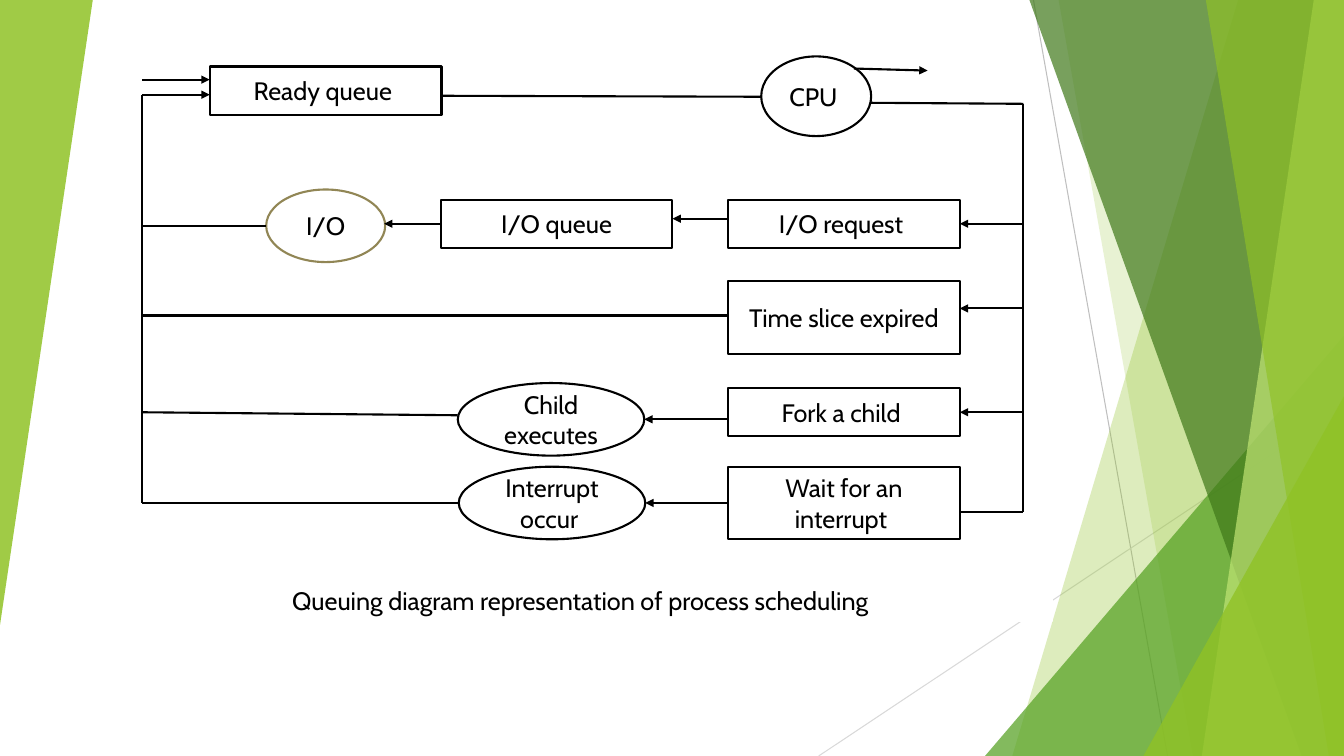
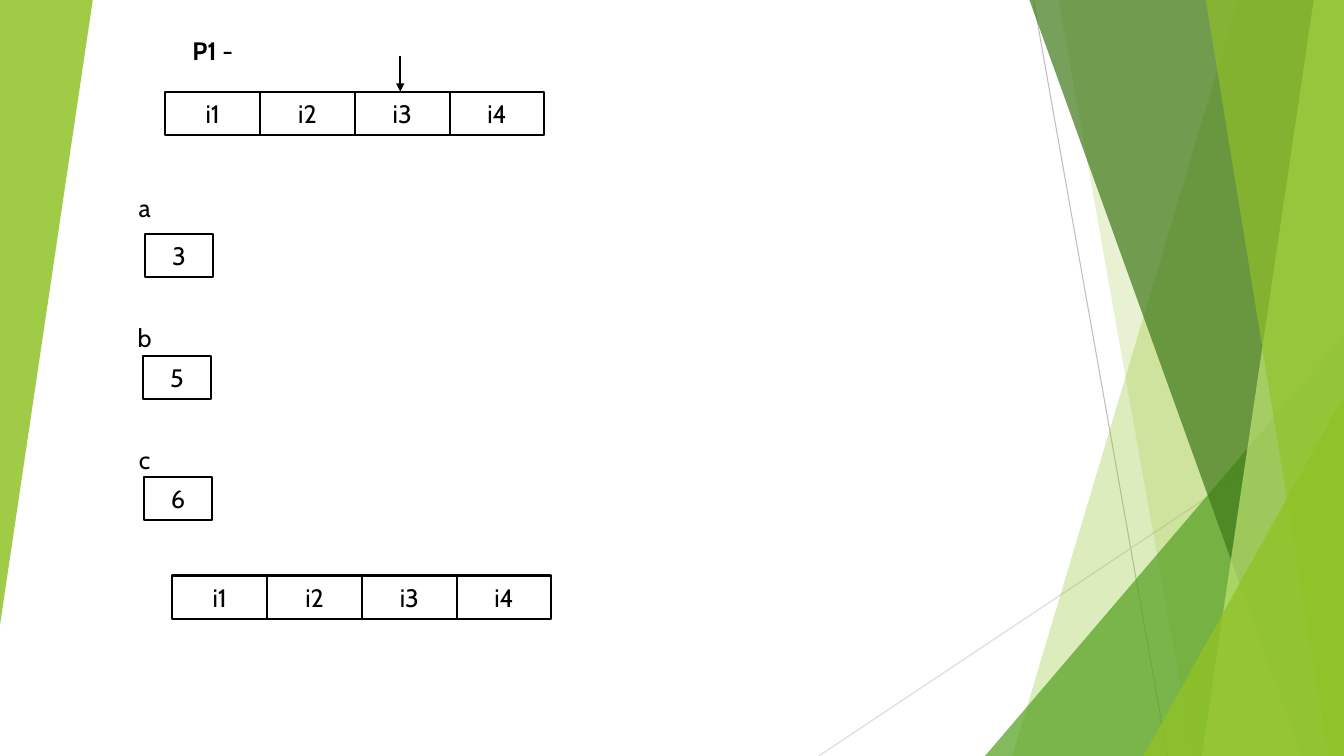
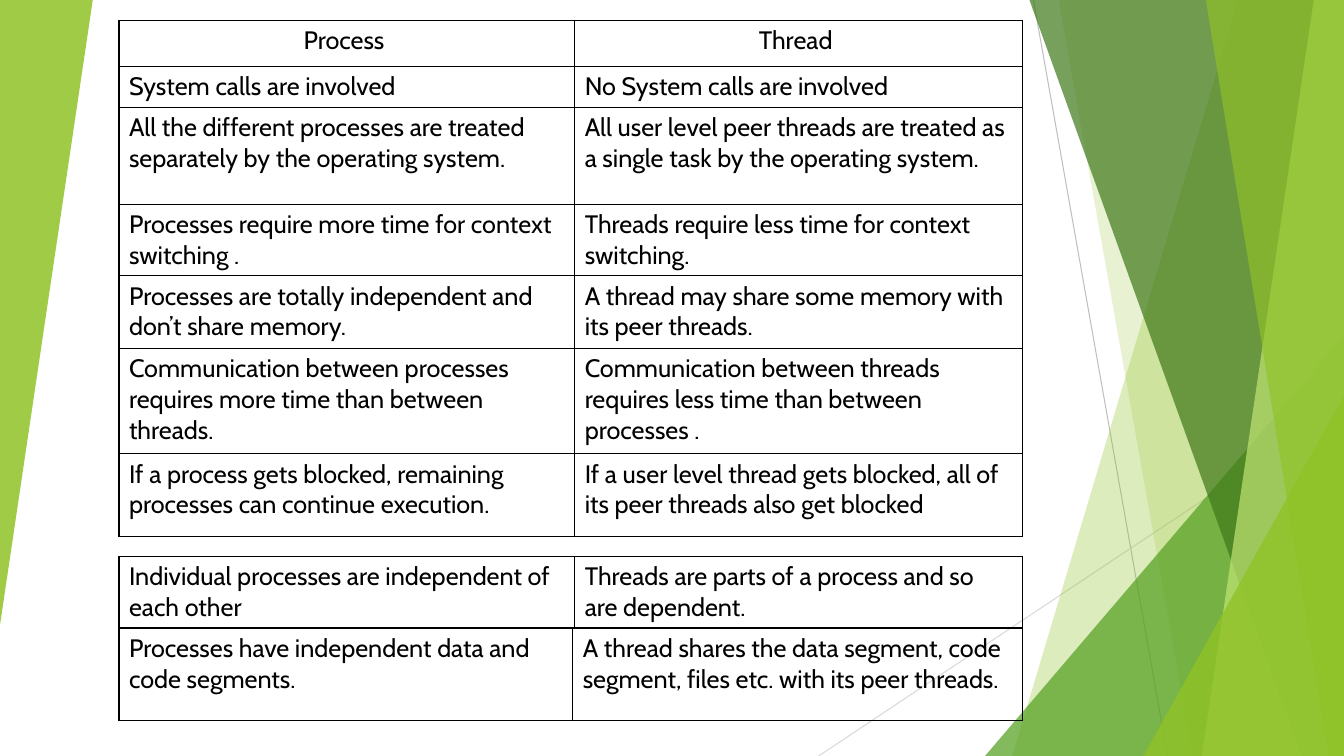
from lxml.etree import SubElement
from pptx import Presentation
from pptx.dml.color import RGBColor
from pptx.enum.shapes import MSO_CONNECTOR, MSO_SHAPE
from pptx.enum.text import MSO_ANCHOR, PP_ALIGN
from pptx.oxml.ns import qn
from pptx.util import Inches, Pt

BLACK = RGBColor(0x00, 0x00, 0x00)
WHITE = RGBColor(0xFF, 0xFF, 0xFF)
KHAKI = RGBColor(0x91, 0x86, 0x55)
GREY = RGBColor(0xBF, 0xBF, 0xBF)
PALE_GREY = RGBColor(0xD9, 0xD9, 0xD9)
LIME = RGBColor(0x90, 0xC2, 0x26)
PALE_LIME = RGBColor(0xC0, 0xE4, 0x74)
GREEN = RGBColor(0x54, 0xA0, 0x21)
DARK_GREEN = RGBColor(0x3F, 0x78, 0x19)

COLUMNS, ROWS = 13.33, 7.5  # one grid cell is one inch square
FONT = {"name": "Cabin", "size": Pt(18)}
RECT, OVAL = MSO_SHAPE.RECTANGLE, MSO_SHAPE.OVAL


def grid(*cells):
    return [Inches(cell) for cell in cells]


class Deck:
    """Holds the style, the presentation and the shapes being drawn on."""

    def __init__(self):
        self.file = Presentation()
        self.file.slide_width, self.file.slide_height = grid(COLUMNS, ROWS)
        self.shapes = None

    def page(self):
        slide = self.file.slides.add_slide(self.file.slide_layouts[6])
        self.shapes = slide.shapes

    def to_master(self, draw):
        """Draw in a group on the current slide, then move it to the master."""
        slide_shapes = self.shapes
        group = slide_shapes.add_group_shape()
        self.shapes = group.shapes
        draw(self)
        for number, node in enumerate(group.element.iter(qn("p:cNvPr")), 100):
            node.set("id", str(number))
        self.file.slide_master.shapes.element.append(group.element)
        self.shapes = slide_shapes

    def set_text(self, frame, spans, align):
        """Fill one paragraph; spans are (text, bold) pairs or one string."""
        if isinstance(spans, str):
            spans = [(spans, False)]
        para = frame.paragraphs[0]
        para.alignment = align
        for text, bold in spans:
            span = para.add_run()
            span.text = text
            for name, value in {**FONT, "bold": bold}.items():
                setattr(span.font, name, value)
            span.font.color.rgb = BLACK

    def box(self, spans, left, top, width, height, kind=RECT, outline=BLACK):
        box = self.shapes.add_shape(kind, *grid(left, top, width, height))
        box.shadow.inherit = False
        box.fill.solid()
        box.fill.fore_color.rgb = WHITE
        box.line.color.rgb = outline
        box.line.width = Pt(1.5)
        box.text_frame.word_wrap = True
        box.text_frame.vertical_anchor = MSO_ANCHOR.MIDDLE
        self.set_text(box.text_frame, spans, PP_ALIGN.CENTER)

    def label(self, spans, *place):
        self.box(spans, *place, outline=WHITE)

    def line(self, *ends, color=BLACK, width=1.5, arrow=False):
        line = self.shapes.add_connector(MSO_CONNECTOR.STRAIGHT, *grid(*ends))
        line.line.color.rgb = color
        line.line.width = Pt(width)
        properties = line.element.spPr
        if arrow:
            SubElement(properties.find(qn("a:ln")), qn("a:tailEnd"), type="triangle")
        SubElement(properties, qn("a:effectLst"))

    def tint(self, shape, color, opacity):
        """Fill without outline; opacity is in percent."""
        shape.shadow.inherit = False
        shape.line.fill.background()
        shape.fill.solid()
        shape.fill.fore_color.rgb = color
        solid = shape.element.spPr.find(qn("a:solidFill"))
        SubElement(solid[0], qn("a:alpha"), val=str(opacity * 1000))

    def facet(self, top_x, bottom_x, color, opacity):
        """Full-height panel from a slanted left edge to the slide's right edge."""
        outline = self.shapes.build_freeform(*grid(top_x, 0))
        corners = [(COLUMNS, 0), (COLUMNS, ROWS), (bottom_x, ROWS)]
        outline.add_line_segments([grid(*corner) for corner in corners])
        self.tint(outline.convert_to_shape(), color, opacity)

    def wedge(self, left, top, width, height, color, opacity, turn=0):
        wedge = self.shapes.add_shape(MSO_SHAPE.ISOSCELES_TRIANGLE,
                                      *grid(left, top, width, height))
        wedge.adjustments[0] = 1
        wedge.rotation = turn
        self.tint(wedge, color, opacity)

    def table(self, top, widths, heights, rows, header=False):
        frame = self.shapes.add_table(len(rows), len(widths),
                                      *grid(1.18, top, sum(widths), sum(heights)))
        table = frame.table
        table.first_row = table.horz_banding = False
        for column, width in zip(table.columns, widths):
            column.width = Inches(width)
        for row, height in zip(table.rows, heights):
            row.height = Inches(height)
        texts = [text for row in rows for text in row]
        nodes = frame.element.iter(qn("a:tc"))
        for index, (cell, node, text) in enumerate(zip(table.iter_cells(), nodes, texts)):
            for side in ("lnL", "lnR", "lnT", "lnB"):
                edge = SubElement(node.get_or_add_tcPr(), qn(f"a:{side}"), w=str(Pt(1)))
                solid = SubElement(edge, qn("a:solidFill"))
                SubElement(solid, qn("a:srgbClr"), val=str(BLACK))
            cell.fill.background()
            in_header = header and index < len(widths)
            self.set_text(cell.text_frame, text,
                          PP_ALIGN.CENTER if in_header else PP_ALIGN.LEFT)


def draw_backdrop(deck):
    deck.line(10.25, 0, 11.58, ROWS, color=GREY, width=0.75)
    deck.line(COLUMNS, 4.03, 8.12, ROWS, color=PALE_GREY, width=0.75)
    deck.facet(12.28, 10.04, LIME, 30)
    deck.facet(10.5, 11.83, LIME, 20)
    deck.wedge(9.77, 3.33, 3.56, 4.17, GREEN, 72)
    deck.facet(10.21, 12.91, DARK_GREEN, 70)
    deck.facet(13.03, 11.92, PALE_LIME, 70)
    deck.facet(11.96, 13.18, LIME, 65)
    deck.wedge(11.34, 3.93, 1.99, 3.57, LIME, 80)
    deck.wedge(0, 0, 0.92, 6.2, LIME, 85, turn=180)


def queuing_diagram(deck):
    left_rail, right_rail = 1.41, 10.15
    event_left, event_width = 7.22, 2.3
    event_right = event_left + event_width
    low, high = 0.48, 0.72

    deck.box("Ready queue ", 2.08, 0.66, event_width, low)
    deck.box("CPU ", 7.55, 0.56, 1.09, 0.79, OVAL)
    deck.box("I/O queue", 4.37, 1.98, event_width, low)
    for text, top, height in [("I/O request ", 1.98, low),
                              ("Time slice expired", 2.79, high),
                              ("Fork a child ", 3.85, low),
                              ("Wait for an interrupt ", 4.63, high)]:
        deck.box(text, event_left, top, event_width, height)
    deck.box("I/O", 2.64, 1.88, 1.18, high, OVAL, KHAKI)
    deck.box("Child executes", 4.54, 3.8, 1.85, high, OVAL)
    deck.box("Interrupt occur ", 4.55, 4.63, 1.85, high, OVAL)

    for ends in [(left_rail, 0.94, left_rail, 4.99),
                 (right_rail, 1.03, right_rail, 5.08),
                 (4.37, 0.95, 7.55, 0.96),
                 (8.63, 1.02, right_rail, 1.03),
                 (event_right, 5.08, right_rail, 5.08),
                 (left_rail, 2.24, 2.64, 2.24),
                 (left_rail, 3.13, event_left, 3.13),
                 (left_rail, 4.09, 4.54, 4.12),
                 (left_rail, 4.99, 4.55, 4.99)]:
        deck.line(*ends)
    arrows = [(left_rail, y, 2.08, y) for y in (0.79, 0.94)]
    arrows += [(right_rail, y, event_right, y) for y in (2.22, 3.06, 4.09)]
    arrows += [(event_left, y, end, y)
               for end, y in ((6.67, 2.17), (6.39, 4.16), (6.4, 4.99))]
    arrows += [(4.37, 2.22, 3.81, 2.22), (8.47, 0.68, 9.2, 0.7)]
    for ends in arrows:
        deck.line(*ends, arrow=True)
    deck.label("Queuing diagram representation of process scheduling",
               1.08, 5.75, 9.35, 0.41)


def instruction_state(deck):
    cell_width, cell_height = 0.94, 0.43
    deck.label([("P1", True), (" -", False)], 1.43, 0.34, 1.36, 0.33)
    for left, top in [(1.64, 0.91), (1.71, 5.71)]:
        for index in range(4):
            deck.box(f"i{index + 1}", left + index * cell_width, top,
                     cell_width, cell_height)
    deck.line(3.97, 0.56, 3.97, 0.91, arrow=True)
    for name, value, label_top, left, top in [("a", "3", 1.89, 1.44, 2.32),
                                              ("b", "5", 3.18, 1.42, 3.53),
                                              ("c", "6", 4.39, 1.43, 4.73)]:
        deck.label(name, 1.1, label_top, 0.67, 0.33)
        deck.box(value, left, top, 0.67, cell_height)


def process_and_thread(deck):
    widths = [4.52, 4.44]
    deck.table(0.2, widths, [0.46, 0.4, 0.96, 0.7, 0.72, 1.04], [
        ("Process ", "Thread "),
        ("System calls are involved", "No System calls are involved"),
        ("All the different processes are treated separately by the operating system.",
         "All user level peer threads are treated as a single task by the operating system."),
        ("Processes require more time for context switching .",
         "Threads require less time for context switching."),
        ("Processes are totally independent and don’t share memory.",
         "A thread may share some memory with its peer threads."),
        ("Communication between processes requires more time than between threads.",
         "Communication between threads requires less time than between processes ."),
    ], header=True)
    deck.table(4.5, widths, [0.82], [
        ("If a process gets blocked, remaining processes can continue execution.",
         "If a user level thread gets blocked, all of its peer threads also get blocked")])
    deck.table(5.52, widths, [0.7], [
        ("Individual processes are independent of each other",
         "Threads are parts of a process and so are dependent.")])
    deck.table(6.23, [4.5, 4.46], [0.92], [
        ("Processes have independent data and code segments.",
         "A thread shares the data segment, code segment, files etc. with its peer threads.")])


def main():
    deck = Deck()
    deck.page()
    deck.to_master(draw_backdrop)
    queuing_diagram(deck)
    deck.page()
    instruction_state(deck)
    deck.page()
    process_and_thread(deck)
    deck.file.save("out.pptx")


if __name__ == "__main__":
    main()
